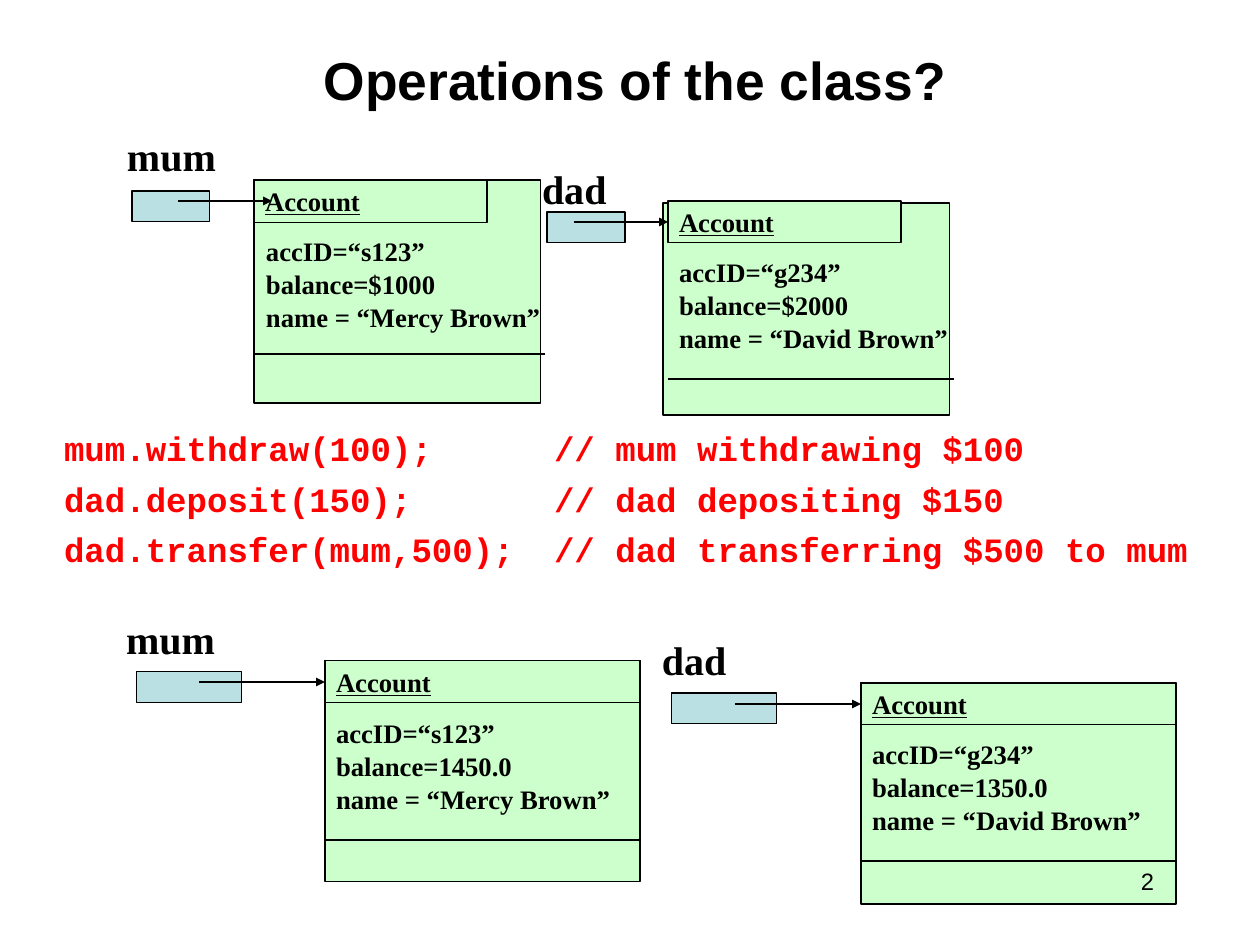
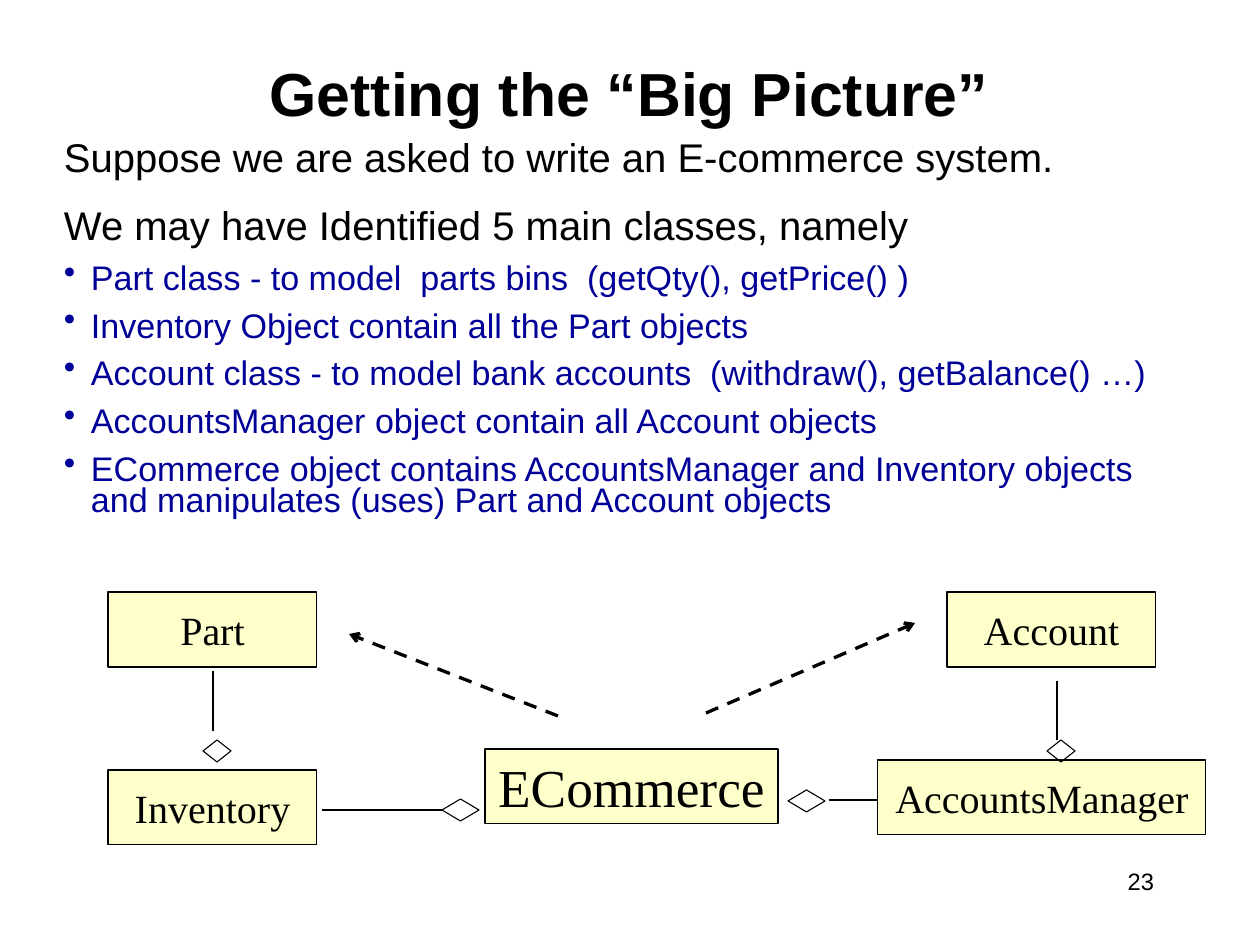
from dataclasses import dataclass
from typing import Any, Optional

from lxml import etree
from pptx import Presentation
from pptx.dml.color import RGBColor
from pptx.enum.dml import MSO_LINE
from pptx.enum.shapes import MSO_CONNECTOR, MSO_SHAPE
from pptx.enum.text import MSO_ANCHOR, PP_ALIGN
from pptx.oxml.ns import qn
from pptx.util import Emu, Pt

PX = 8570
RECT, DIAMOND = MSO_SHAPE.RECTANGLE, MSO_SHAPE.FLOWCHART_DECISION
STRAIGHT, DASH = MSO_CONNECTOR.STRAIGHT, MSO_LINE.DASH
TOP, MIDDLE = MSO_ANCHOR.TOP, MSO_ANCHOR.MIDDLE
LEFT, CENTER, RIGHT = PP_ALIGN.LEFT, PP_ALIGN.CENTER, PP_ALIGN.RIGHT
LEFT_SIDE = 1

Box = tuple[int, int, int, int]
Point = tuple[int, int]


@dataclass(frozen=True)
class Theme:
    ink: str = "000000"
    code: str = "FF0000"
    bullet: str = "000099"
    account: str = "CCFFCC"
    handle: str = "BBE0E3"
    class_box: str = "FFFFCC"
    sans: str = "Arial"
    serif: str = "Times New Roman"
    mono: str = "Courier New"
    title: int = 36
    big_title: int = 41
    heading: int = 27
    body: int = 23
    field: int = 18
    number: int = 16
    thin: float = 0.75
    thick: float = 2.25


T = Theme()


@dataclass(frozen=True)
class Style:
    font: dict[str, Any]
    color: str = T.ink
    para: Optional[dict[str, Any]] = None
    bullet: bool = False
    tab: int = 0


def style(font: str, size: int, color: str = T.ink, bold: bool = False,
          underline: bool = False, bullet: bool = False, tab: int = 0,
          **para: Any) -> Style:
    values = {"name": font, "size": Pt(size), "bold": bold, "underline": underline}
    return Style(values, color, para, bullet, tab)


HEADER = style(T.serif, T.field, bold=True, underline=True)
FIELD = style(T.serif, T.field, bold=True, line_spacing=0.6, space_before=Pt(9.5))
LABEL = style(T.serif, T.heading, bold=True)
CODE = style(T.mono, T.body, T.code, bold=True, tab=490,
             line_spacing=0.75, space_before=Pt(13.5))
INTRO = style(T.sans, T.heading, space_before=Pt(14))
BULLET = style(T.sans, T.body, T.bullet, bullet=True,
               line_spacing=0.75, space_before=Pt(11.5))
NUMBER = style(T.sans, T.number, alignment=RIGHT)


@dataclass(frozen=True)
class ObjectDiagram:
    name: str
    fields: tuple[str, ...]
    body: Box
    header: Box
    handle: Box
    arrow: tuple[Point, Point]
    text: Box
    divider: tuple[Point, Point]
    label: Box
    joined: bool = True


@dataclass(frozen=True)
class ClassBox:
    name: str
    box: Box
    size: int = T.heading


@dataclass(frozen=True)
class Link:
    start: Point
    end: Point
    width: float = T.thin
    dashed: bool = False
    head: str = ""


MUM, DAD = "name = “Mercy Brown”", "name = “David Brown”"
DIAGRAMS = (
    ObjectDiagram("mum", ("accID=“s123”", "balance=$1000", MUM),
                  (254, 180, 287, 223), (254, 180, 233, 43), (132, 191, 78, 31),
                  ((178, 201), (272, 201)), (255, 241, 304, 102),
                  ((255, 354), (545, 354)), (116, 127, 116, 60), joined=False),
    ObjectDiagram("dad", ("accID=“g234”", "balance=$2000", DAD),
                  (663, 203, 287, 212), (668, 201, 233, 42), (547, 212, 78, 31),
                  ((574, 222), (668, 222)), (668, 262, 304, 102),
                  ((668, 379), (954, 379)), (531, 160, 116, 60)),
    ObjectDiagram("mum", ("accID=“s123”", "balance=1450.0", MUM),
                  (325, 661, 315, 221), (325, 661, 315, 42), (137, 672, 105, 31),
                  ((199, 682), (325, 682)), (325, 723, 388, 102),
                  ((325, 840), (640, 840)), (115, 609, 158, 60)),
    ObjectDiagram("dad", ("accID=“g234”", "balance=1350.0", DAD),
                  (861, 683, 315, 221), (861, 683, 315, 42), (672, 693, 105, 31),
                  ((735, 704), (861, 704)), (861, 744, 388, 102),
                  ((861, 861), (1176, 861)), (651, 630, 158, 60)),
)
CALLS = (
    "mum.withdraw(100);\t// mum withdrawing $100",
    "dad.deposit(150);\t// dad depositing $150",
    "dad.transfer(mum,500);\t// dad transferring $500 to mum",
)
INTROS = (
    "Suppose we are asked to write an E-commerce system.",
    "We may have Identified 5 main classes, namely",
)
BULLETS = (
    "Part class - to model  parts bins  (getQty(), getPrice() )",
    "Inventory Object contain all the Part objects",
    "Account class - to model bank accounts  (withdraw(), getBalance() …)",
    "AccountsManager object contain all Account objects",
    "ECommerce object contains AccountsManager and Inventory objects "
    "and manipulates (uses) Part and Account objects",
)
CLASSES = (
    ClassBox("ECommerce", (485, 749, 293, 75), T.title),
    ClassBox("AccountsManager", (878, 760, 328, 75)),
    ClassBox("Inventory", (108, 770, 209, 75)),
    ClassBox("Part", (108, 592, 209, 75)),
    ClassBox("Account", (947, 592, 209, 75)),
)
DIAMONDS = ((788, 790, 37, 22), (203, 740, 28, 22), (1047, 740, 28, 22))
BEHIND = Link((829, 800), (963, 800))
LINKS = (
    Link((213, 731), (213, 671)),
    Link((1057, 740), (1057, 681)),
    Link((706, 713), (915, 623), T.thick, True, "arrow"),
    Link((558, 716), (349, 634), T.thick, True, "arrow"),
)


def px(values: tuple[int, ...]) -> list[Emu]:
    return [Emu(v * PX) for v in values]


def write(sp: Any, lines: list[tuple[str, Style]], anchor: Any = TOP,
          inset: Point = (11, 5), wrap: bool = True) -> None:
    tf = sp.text_frame
    x, y = px(inset)
    for key, value in {"word_wrap": wrap, "vertical_anchor": anchor,
                       "margin_left": x, "margin_right": x,
                       "margin_top": y, "margin_bottom": y}.items():
        setattr(tf, key, value)
    for i, (text, st) in enumerate(lines):
        p = tf.add_paragraph() if i else tf.paragraphs[0]
        for key, value in {"alignment": LEFT, **(st.para or {})}.items():
            setattr(p, key, value)
        pr = p._p.get_or_add_pPr()
        if st.bullet:
            pr.set("marL", str(27 * PX))
            pr.set("indent", str(-27 * PX))
            etree.SubElement(pr, qn("a:buChar"), char="•")
        if st.tab:
            tabs = etree.SubElement(pr, qn("a:tabLst"))
            etree.SubElement(tabs, qn("a:tab"), pos=str(st.tab * PX), algn="l")
        r = p.add_run()
        r.text = text
        for key, value in st.font.items():
            setattr(r.font, key, value)
        r.font.color.rgb = RGBColor.from_string(st.color)


def add_text(s: Any, box: Box, lines: list[tuple[str, Style]], **frame: Any) -> None:
    write(s.shapes.add_textbox(*px(box)), lines, **frame)


def add_box(s: Any, box: Box, fill: Optional[str] = None, kind: Any = RECT) -> Any:
    sp = s.shapes.add_shape(kind, *px(box))
    sp.shadow.inherit = False
    if fill:
        sp.fill.solid()
        sp.fill.fore_color.rgb = RGBColor.from_string(fill)
    else:
        sp.fill.background()
    sp.line.color.rgb = RGBColor.from_string(T.ink)
    sp.line.width = Pt(T.thin)
    return sp


def add_link(s: Any, link: Link, target: Any = None) -> None:
    c = s.shapes.add_connector(STRAIGHT, *px(link.start + link.end))
    c.line.color.rgb = RGBColor.from_string(T.ink)
    c.line.width = Pt(link.width)
    if link.dashed:
        c.line.dash_style = DASH
    if link.head:
        etree.SubElement(c.line._get_or_add_ln(), qn("a:tailEnd"), type=link.head)
    etree.SubElement(c._element.spPr, qn("a:effectLst"))
    if target is not None:
        c.end_connect(target, LEFT_SIDE)


def add_object(s: Any, d: ObjectDiagram) -> None:
    add_box(s, d.body, T.account)
    header = add_box(s, d.header, T.account)
    write(header, [("Account", HEADER)])
    add_box(s, d.handle, T.handle)
    add_link(s, Link(*d.arrow, head="triangle"), header if d.joined else None)
    add_text(s, d.text, [(line, FIELD) for line in d.fields])
    add_link(s, Link(*d.divider))
    add_text(s, d.label, [(d.name, LABEL)])


def add_slide(prs: Any, title: str, size: int, box: Box) -> Any:
    s = prs.slides.add_slide(prs.slide_layouts[6])
    heading = style(T.sans, size, bold=True, alignment=CENTER)
    add_text(s, box, [(title, heading)], anchor=MIDDLE, inset=(12, 6))
    return s


def add_number(s: Any, number: int) -> None:
    add_text(s, (904, 861, 262, 63), [(str(number), NUMBER)], inset=(12, 6))


def operations(prs: Any) -> None:
    s = add_slide(prs, "Operations of the class?", T.title, (52, 42, 1166, 74))
    for d in DIAGRAMS:
        add_object(s, d)
    add_text(s, (52, 431, 1166, 149), [(c, CODE) for c in CALLS], inset=(12, 6))
    add_number(s, 2)


def big_picture(prs: Any) -> None:
    s = add_slide(prs, "Getting the “Big Picture”", T.big_title, (124, 55, 1011, 74))
    lines = [(t, INTRO) for t in INTROS] + [(t, BULLET) for t in BULLETS]
    add_text(s, (52, 126, 1134, 418), lines, inset=(12, 6))
    add_link(s, BEHIND)
    for c in CLASSES:
        name = style(T.serif, c.size, alignment=CENTER)
        write(add_box(s, c.box, T.class_box), [(c.name, name)],
              anchor=MIDDLE, inset=(12, 6), wrap=False)
    for box in DIAMONDS:
        add_box(s, box, kind=DIAMOND)
    inventory_end = add_box(s, (442, 799, 37, 22), kind=DIAMOND)
    add_link(s, Link((322, 810), (442, 810)), inventory_end)
    for link in LINKS:
        add_link(s, link)
    add_number(s, 23)


def main() -> None:
    prs = Presentation()
    prs.slide_width, prs.slide_height = px((1260, 945))
    operations(prs)
    big_picture(prs)
    prs.save("out.pptx")


if __name__ == "__main__":
    main()
